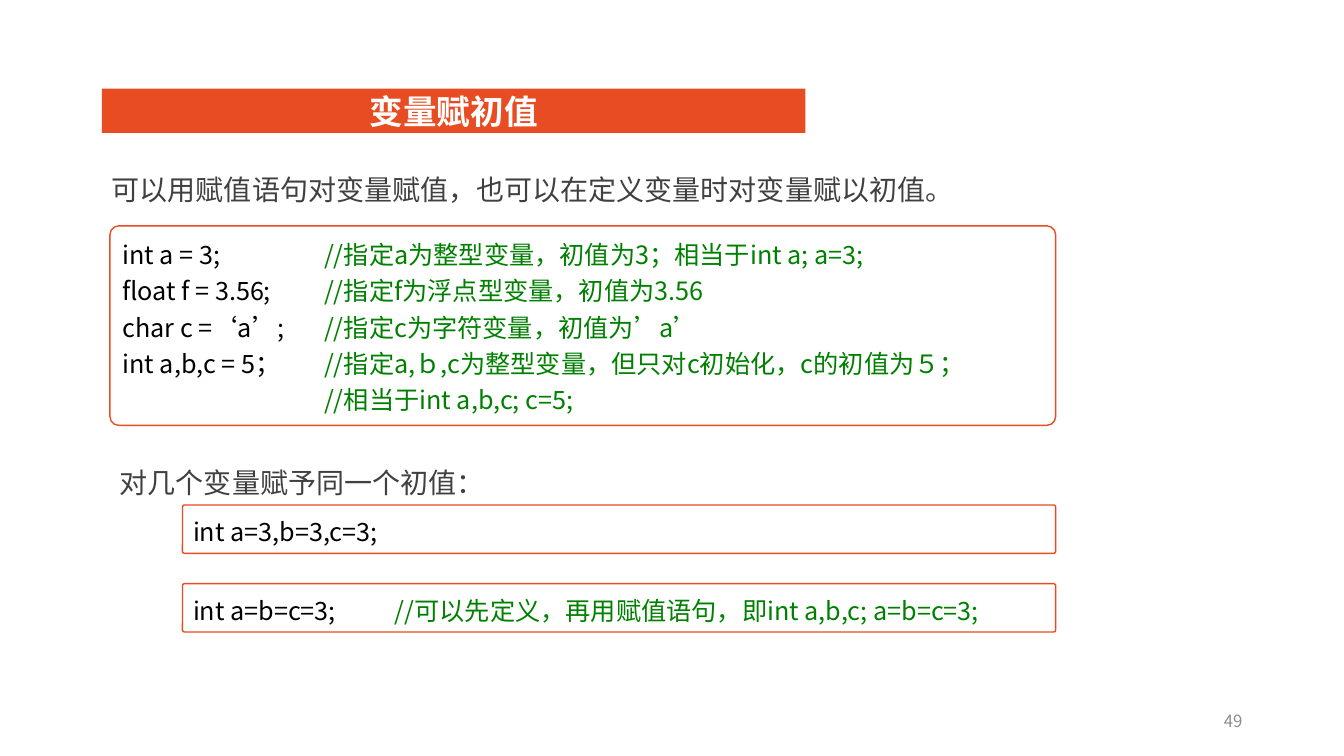
from dataclasses import dataclass

from lxml.etree import SubElement
from pptx import Presentation
from pptx.dml.color import RGBColor
from pptx.enum.shapes import MSO_SHAPE
from pptx.enum.text import MSO_ANCHOR, MSO_AUTO_SIZE, PP_ALIGN
from pptx.oxml.ns import qn
from pptx.util import Inches, Pt


@dataclass(frozen=True)
class Theme:
    face: str = "Noto Sans CJK SC"
    accent: str = "E84C22"
    paper: str = "FFFFFF"
    prose: str = "404040"
    code: str = "000000"
    comment: str = "008000"
    muted: str = "8C8C8C"
    title_size: int = 24
    prose_size: int = 20
    code_size: int = 18
    number_size: int = 12


THEME = Theme()
WIDTH, HEIGHT = Inches(13.33), Inches(7.5)
COLUMN, ROW = WIDTH / 100, HEIGHT / 100  # grid of 100 columns by 100 rows
COMMENT_TAB = Inches(2)

DEFINITIONS = [
    ("int a = 3; ", "//指定a为整型变量，初值为3；相当于int a; a=3;"),
    ("float f = 3.56;", "//指定f为浮点型变量，初值为3.56"),
    ("char c =‘a’;", "//指定c为字符变量，初值为’a’"),
    ("int a,b,c = 5；", "//指定a,ｂ,c为整型变量，但只对c初始化，c的初值为５；"),
    ("", "//相当于int a,b,c; c=5;"),
]
SAME_VALUE = [
    ("int a=3,b=3,c=3;", ""),
    ("int a=b=c=3;", "//可以先定义，再用赋值语句，即int a,b,c; a=b=c=3;"),
]


def place(left, top, width, height):
    """Turn grid columns and rows into lengths."""
    return (round(left * COLUMN), round(top * ROW),
            round(width * COLUMN), round(height * ROW))


def style(run, size, color, bold=False):
    run.font.size = Pt(size)
    run.font.bold = bold
    run.font.color.rgb = RGBColor.from_string(color)
    run.font.name = THEME.face
    SubElement(run.font._element, qn("a:ea"), typeface=THEME.face)


def panel(slide, preset, box, fill, outline=None):
    block = slide.shapes.add_shape(preset, *place(*box))
    block.shadow.inherit = False
    block.fill.solid()
    block.fill.fore_color.rgb = RGBColor.from_string(fill)
    if outline:
        block.line.color.rgb = RGBColor.from_string(outline)
        block.line.width = Pt(1)
    else:
        block.line.fill.background()
    return block


def title_banner(slide, box, wording):
    banner = panel(slide, MSO_SHAPE.RECTANGLE, box, THEME.accent)
    frame = banner.text_frame
    frame.margin_left = frame.margin_right = 0
    frame.margin_top = frame.margin_bottom = 0
    frame.vertical_anchor = MSO_ANCHOR.MIDDLE
    frame.text = wording
    heading = frame.paragraphs[0]
    heading.alignment = PP_ALIGN.CENTER
    style(heading.runs[0], THEME.title_size, THEME.paper, bold=True)


def sentence(slide, box, wording):
    frame = slide.shapes.add_textbox(*place(*box)).text_frame
    frame.word_wrap = True
    frame.auto_size = MSO_AUTO_SIZE.SHAPE_TO_FIT_TEXT
    frame.text = wording
    frame.paragraphs[0].line_spacing = 1.5
    style(frame.paragraphs[0].runs[0], THEME.prose_size, THEME.prose)


def code_box(slide, box, statements):
    listing = panel(slide, MSO_SHAPE.ROUNDED_RECTANGLE, box,
                    THEME.paper, THEME.accent)
    listing.adjustments[0] = 0.045
    frame = listing.text_frame
    frame.word_wrap = True
    frame.vertical_anchor = MSO_ANCHOR.TOP
    for index, (code, comment) in enumerate(statements):
        line = frame.add_paragraph() if index else frame.paragraphs[0]
        line.alignment = PP_ALIGN.JUSTIFY
        line.line_spacing = 1.2
        # Comments line up at one tab stop
        stops = SubElement(line._p.get_or_add_pPr(), qn("a:tabLst"))
        SubElement(stops, qn("a:tab"), pos=str(COMMENT_TAB), algn="l")
        parts = [(code, THEME.code)]
        if comment:
            parts.append(("\t" + comment, THEME.comment))
        for wording, color in parts:
            if wording:
                run = line.add_run()
                run.text = wording
                style(run, THEME.code_size, color)


def page_number(slide, box, number):
    frame = slide.shapes.add_textbox(*place(*box)).text_frame
    frame.word_wrap = True
    frame.vertical_anchor = MSO_ANCHOR.MIDDLE
    frame.text = str(number)
    frame.paragraphs[0].alignment = PP_ALIGN.RIGHT
    style(frame.paragraphs[0].runs[0], THEME.number_size, THEME.muted)


def main():
    deck = Presentation()
    deck.slide_width, deck.slide_height = WIDTH, HEIGHT
    slide = deck.slides.add_slide(deck.slide_layouts[6])

    # Title and initial values in definitions
    title_banner(slide, (7.58, 11.73, 52.36, 5.87), "变量赋初值")
    sentence(slide, (7.58, 20, 78.39, 7.33),
             "可以用赋值语句对变量赋值，也可以在定义变量时对变量赋以初值。")
    code_box(slide, (8.18, 29.87, 70.37, 26.4), DEFINITIONS)

    # One value for several variables
    sentence(slide, (8.18, 58.67, 37.81, 8.13), "对几个变量赋予同一个初值：")
    for index, statement in enumerate(SAME_VALUE):
        code_box(slide, (13.58, 66.8 + 10.4 * index, 64.97, 6.4), [statement])

    page_number(slide, (70.67, 92.67, 22.51, 5.33), 49)
    deck.save("out.pptx")


if __name__ == "__main__":
    main()
